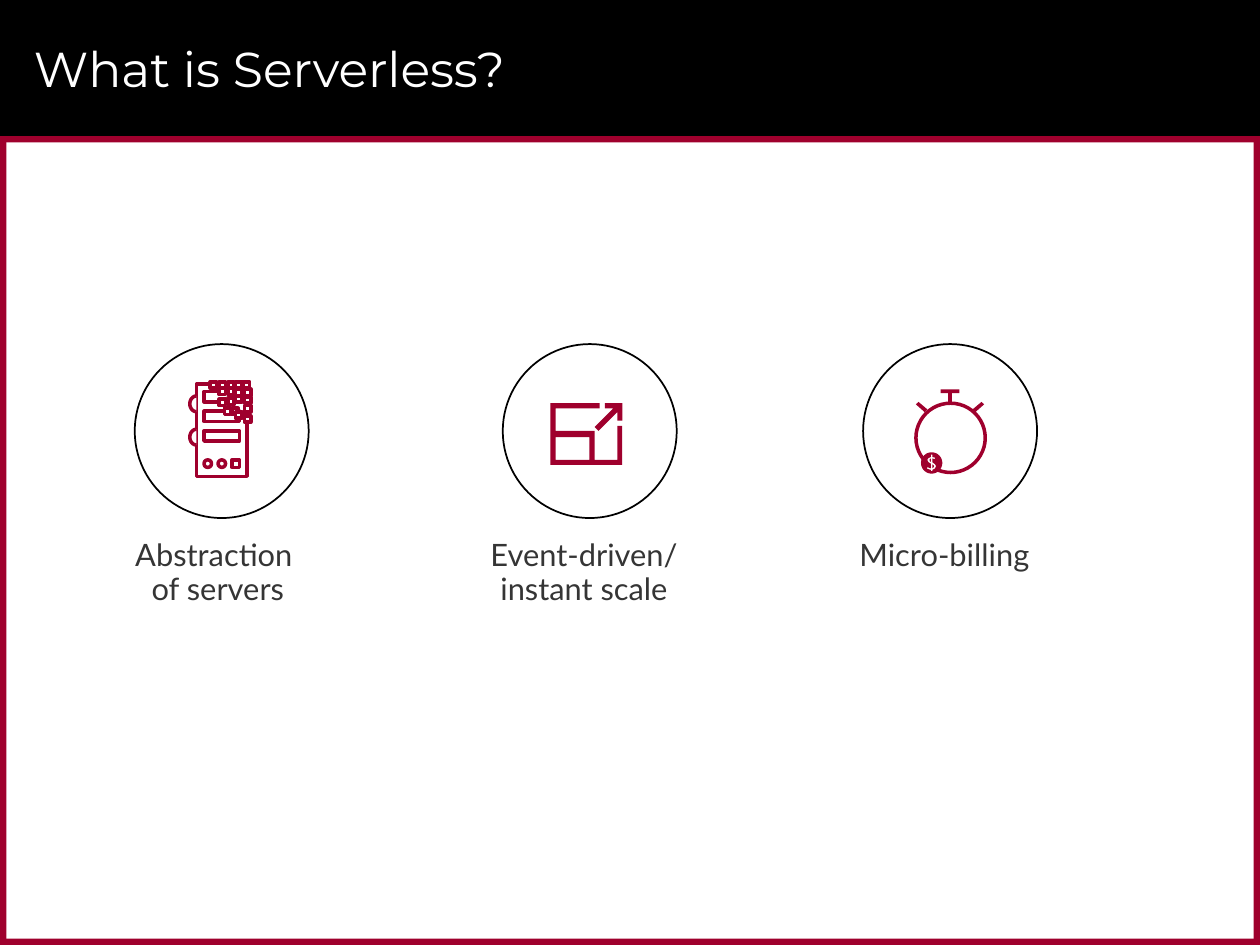
import math

from pptx import Presentation
from pptx import util as u
from pptx.dml.color import RGBColor
from pptx.enum import shapes, text

BLACK = RGBColor(0x00, 0x00, 0x00)
WHITE = RGBColor(0xFF, 0xFF, 0xFF)
CRIMSON = RGBColor(0x9F, 0x00, 0x2D)
CHARCOAL = RGBColor(0x35, 0x35, 0x35)
RECTANGLE = shapes.MSO_SHAPE.RECTANGLE
OVAL = shapes.MSO_SHAPE.OVAL


def arc(x, y, radius_x, radius_y, start, end, steps):
    angles = [math.radians(start + (end - start) * i / steps) for i in range(steps + 1)]
    return [(x + radius_x * math.cos(a), y + radius_y * math.sin(a)) for a in angles]


def moved(points, x, y):
    return [(x + left, y + top) for left, top in points]


def apply_format(target, values):
    for name, value in values.items():
        setattr(target, name, value)


class SlideBuilder:
    title_font = {"name": "Montserrat", "size": u.Pt(28), "bold": False}
    caption_font = {"name": "Lato", "size": u.Pt(17.6), "bold": False}
    title_frame = {"vertical_anchor": text.MSO_ANCHOR.MIDDLE, "word_wrap": True,
                   "auto_size": text.MSO_AUTO_SIZE.NONE}
    caption_frame = {"margin_left": u.Pt(5), "margin_top": u.Pt(8.6),
                     "margin_right": u.Pt(10.8), "margin_bottom": u.Pt(8.6),
                     "word_wrap": True, "auto_size": text.MSO_AUTO_SIZE.SHAPE_TO_FIT_TEXT}
    title_paragraph = {"alignment": text.PP_ALIGN.LEFT}
    caption_paragraph = {"alignment": text.PP_ALIGN.CENTER, "line_spacing": 0.9,
                         "space_after": u.Pt(4.4)}

    def __init__(self, slide):
        self.slide = slide

    def paint(self, shape, fill, line, width):
        shape.shadow.inherit = False
        if fill is None:
            shape.fill.background()
        else:
            shape.fill.solid()
            shape.fill.fore_color.rgb = fill
        if line is None:
            shape.line.fill.background()
        else:
            shape.line.color.rgb = line
            shape.line.width = u.Pt(width)

    def shape(self, kind, box, fill=WHITE, line=None, width=2):
        shape = self.slide.shapes.add_shape(kind, *map(u.Pt, box))
        self.paint(shape, fill, line, width)

    def outline(self, contours, fill=CRIMSON, line=None, width=2, close=True):
        contours = [[(u.Pt(x), u.Pt(y)) for x, y in contour] for contour in contours]
        builder = self.slide.shapes.build_freeform(*contours[0][0], scale=1.0)
        for index, (start, *rest) in enumerate(contours):
            if index:
                builder.move_to(*start)
            builder.add_line_segments(rest, close=close)
        self.paint(builder.convert_to_shape(), fill, line, width)

    def set_text(self, frame, words, frame_format, paragraph_format, font_format, color):
        apply_format(frame, frame_format)
        paragraph = frame.paragraphs[0]
        paragraph.text = words
        apply_format(paragraph, paragraph_format)
        for run in paragraph.runs:
            apply_format(run.font, font_format)
            run.font.color.rgb = color

    def title(self, words, box):
        title = self.slide.shapes.title
        apply_format(title, dict(zip(("left", "top", "width", "height"), map(u.Pt, box))))
        self.set_text(title.text_frame, words, self.title_frame, self.title_paragraph,
                      self.title_font, WHITE)
        title.element.getparent().append(title.element)

    def caption(self, words, box):
        frame = self.slide.shapes.add_textbox(*map(u.Pt, box)).text_frame
        self.set_text(frame, words, self.caption_frame, self.caption_paragraph,
                      self.caption_font, CHARCOAL)

    def server_icon(self):
        self.shape(RECTANGLE, (112.3, 219.6, 28.8, 52.6), line=CRIMSON)
        for row in range(3):
            self.shape(RECTANGLE, (116.6, 223.8 + 11.2 * row, 20.2, 5.8), line=CRIMSON)
        for y in (230.8, 249.8):
            self.outline([arc(112.3, y, 3.8, 4.5, 90, 270, 16)], WHITE, CRIMSON, close=False)
        for column, kind in enumerate((OVAL, OVAL, RECTANGLE)):
            self.shape(kind, (116.6 + 8 * column, 262.8, 4.3, 4.3), line=CRIMSON)
        pixel_rows = {
            218.2: (120.2, 125.3, 130.3, 134.6, 139), 221.8: (125.3, 130.3),
            222.5: (134.6, 139.7), 226.1: (134.6,), 226.8: (139.7,), 227.5: (130.3,),
            228.2: (125.3,), 231.8: (139.7,), 233.3: (128.2, 132.5), 235.4: (134.6,),
            237.6: (139.7,),
        }
        for y, row in pixel_rows.items():
            for x in row:
                self.shape(RECTANGLE, (x, y, 3.6, 3.6), line=CRIMSON, width=2.13)

    def scale_icon(self):
        frame = [(38.2, 32.4), (25.2, 32.4), (25.2, 15.8), (2.9, 15.8), (2.9, 2.9),
                 (28.1, 2.9), (28.1, 0), (0, 0), (0, 35.3), (41, 35.3), (41, 13), (38.2, 13)]
        window = [(2.9, 19.4), (22.3, 19.4), (22.3, 32.4), (2.9, 32.4)]
        arrow = [(31, 2.9), (36, 2.9), (25.2, 13.7), (27.4, 15.8), (38.2, 5),
                 (38.2, 10), (41, 10), (41, 0), (31, 0)]
        for contours in ([frame, window], [arrow]):
            self.outline([moved(contour, 314.6, 230.4) for contour in contours])

    def stopwatch_icon(self):
        axis = 542.9
        crown = [(-5.4, 0), (5.4, 0), (5.4, 2.2), (1.1, 2.2), (1.1, 7.9),
                 (-1.1, 7.9), (-1.1, 2.2), (-5.4, 2.2)]
        lug = [(-18, 7.2), (-12.9, 11.5), (-14.4, 13.1), (-19.5, 8.6)]
        mirrored_lug = [(-x, y) for x, y in lug]
        self.outline([moved(part, axis, 222.5) for part in (crown, lug, mirrored_lug)])
        self.shape(OVAL, (523.4, 230.4, 39.6, 39.6), line=CRIMSON)

        self.shape(OVAL, (529.2, 259.9, 9.4, 9.4))
        disc = arc(0, 0, 6.1, 6.1, 0, 360, 48)
        dollar = [(-0.4, -4.7), (-0.4, -3.4), (-1.8, -2.8), (-2.5, -1.8), (-1.8, -0.4),
                  (-0.4, 0.4), (-0.4, 3.1), (-2.5, 2.4), (-2.5, 3.4), (-0.4, 4),
                  (-0.4, 4.7), (0.4, 4.7), (0.4, 4), (1.8, 3.3), (2.6, 1.8), (1.8, 0.6),
                  (0.4, -0.4), (0.4, -2.6), (1.8, -2.1), (1.8, -3.1), (0.4, -3.4), (0.4, -4.7)]
        upper_bowl = [(-0.4, -2.6), (-0.4, -0.6), (-1.2, -1.2), (-1.2, -2.1)]
        lower_bowl = [(0.4, 0.8), (1.3, 1.5), (1.3, 2.3), (0.4, 3)]
        self.outline([moved(part, 532.4, 264.6)
                      for part in (disc, dollar, upper_bowl, lower_bowl)])


def main():
    presentation = Presentation()
    presentation.slide_width = u.Pt(720)
    presentation.slide_height = u.Pt(540)
    builder = SlideBuilder(presentation.slides.add_slide(presentation.slide_layouts[5]))

    header, border = 77.8, 3.6
    builder.shape(RECTANGLE, (0, 0, 720, header), BLACK)
    for y in (header, 540 - border):
        builder.shape(RECTANGLE, (0, y, 720, border), CRIMSON)
    for x in (0, 720 - border):
        builder.shape(RECTANGLE, (x, header, border, 540 - header), CRIMSON)
    builder.title("What is Serverless?", (12.2, 5.8, 678.2, 66.2))

    features = [
        (77, WHITE, builder.server_icon, "Abstraction \nof servers", (51.1, 152.6, 56.2)),
        (287.3, WHITE, builder.scale_icon, "Event-driven/ instant scale", (257.8, 157.7, 56.2)),
        (493.2, None, builder.stopwatch_icon, "Micro-billing", (470.2, 144.7, 36.7)),
    ]
    for circle_left, fill, draw_icon, words, (left, width, height) in features:
        builder.shape(OVAL, (circle_left, 196.6, 99.4, 99.4), fill, BLACK, 1)
        draw_icon()
        builder.caption(words, (left, 300.2, width, height))

    presentation.save("out.pptx")


if __name__ == "__main__":
    main()
